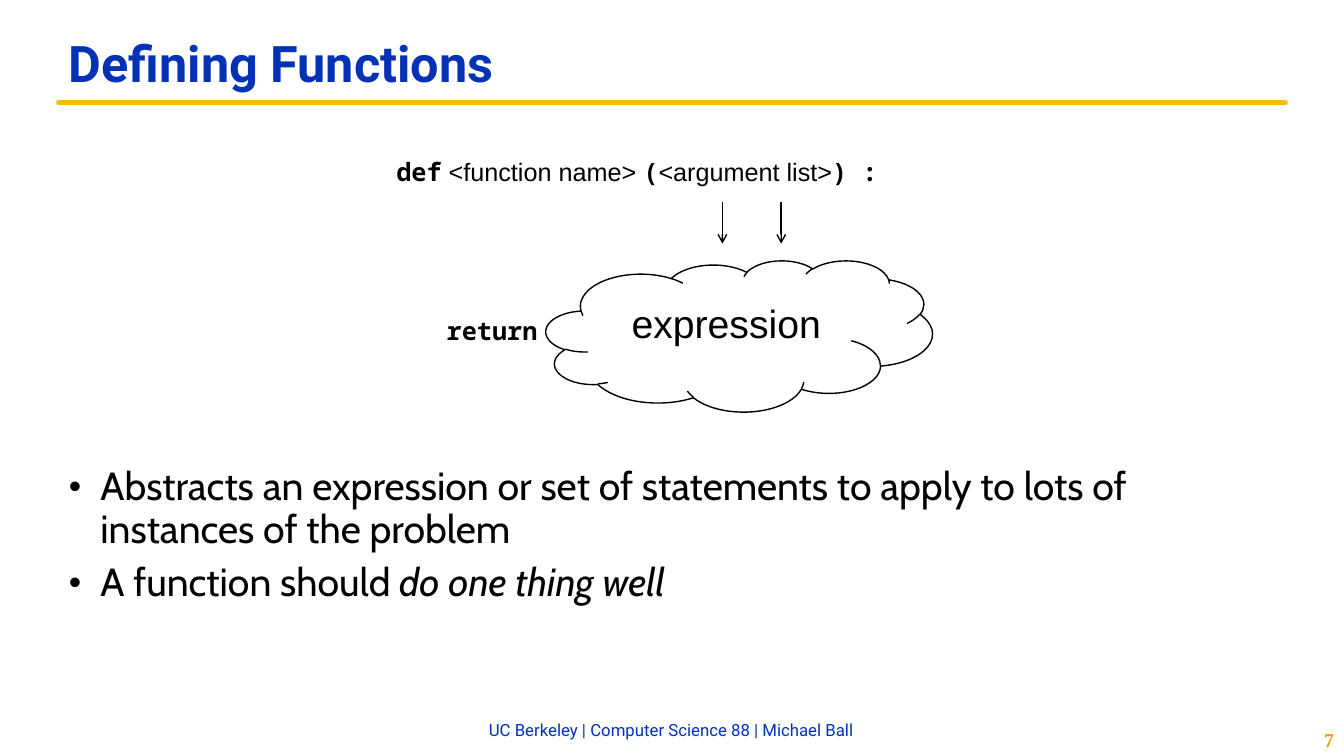
from dataclasses import dataclass

from lxml.etree import SubElement
from pptx import Presentation
from pptx.dml.color import RGBColor
from pptx.enum.shapes import MSO_CONNECTOR, MSO_SHAPE
from pptx.enum.text import MSO_ANCHOR, MSO_AUTO_SIZE, PP_ALIGN
from pptx.oxml.ns import qn
from pptx.util import Pt


@dataclass(frozen=True)
class Theme:
    blue: RGBColor = RGBColor(0x03, 0x32, 0xB7)
    gold: RGBColor = RGBColor(0xFB, 0xBA, 0x03)
    orange: RGBColor = RGBColor(0xFF, 0x99, 0x00)
    black: RGBColor = RGBColor(0, 0, 0)
    heading_font: str = "Roboto"
    body_font: str = "Cabin"
    code_font: str = "Noto Sans Mono"
    plain_font: str = "Arial"
    number_font: str = "Times New Roman"
    title_size: int = 36
    body_size: int = 28
    code_size: int = 18
    number_size: int = 14
    footer_size: int = 12
    line_spacing: float = 0.9


@dataclass(frozen=True)
class Box:
    left: float
    top: float
    width: float
    height: float

    def inner(self, left, top, width, height):
        return Box(self.left + left, self.top + top, width, height)

    def lengths(self):
        return [Pt(value) for value in (self.left, self.top, self.width, self.height)]


THEME = Theme()


def format_run(run, font_name, size, color, bold=False, italic=False):
    font = run.font
    font.name, font.size, font.bold, font.italic = font_name, Pt(size), bold, italic
    font.color.rgb = color


def place(shape, box):
    shape.left, shape.top, shape.width, shape.height = box.lengths()


def add_label(slide, box, pieces, size, color, wrap=False,
              alignment=PP_ALIGN.LEFT, anchor=MSO_ANCHOR.TOP):
    label = slide.shapes.add_textbox(*box.lengths())
    frame = label.text_frame
    frame.word_wrap = wrap
    frame.vertical_anchor = anchor
    paragraph = frame.paragraphs[0]
    paragraph.alignment = alignment
    for text, font_name, bold in pieces:
        run = paragraph.add_run()
        run.text = text
        format_run(run, font_name, size, color, bold)
    return label


def add_line(slide, start, end, color, width):
    line = slide.shapes.add_connector(
        MSO_CONNECTOR.STRAIGHT, *[Pt(value) for value in (*start, *end)])
    line.line.color.rgb = color
    line.line.width = Pt(width)
    SubElement(line._element.spPr, qn("a:effectLst"))
    return line


def add_header(slide, box):
    title = slide.shapes.title
    place(title, box.inner(0, 0, 804, 58))
    frame = title.text_frame
    frame.text = "Defining Functions"
    frame.auto_size = MSO_AUTO_SIZE.NONE
    frame.vertical_anchor = MSO_ANCHOR.MIDDLE
    paragraph = frame.paragraphs[0]
    paragraph.alignment = PP_ALIGN.LEFT
    paragraph.line_spacing = THEME.line_spacing
    format_run(paragraph.runs[0], THEME.heading_font, THEME.title_size, THEME.blue, True)
    bottom = box.top + box.height
    rule = add_line(slide, (box.left, bottom), (box.left + box.width, bottom),
                    THEME.gold, 3.75)
    rule.line._ln.set("cap", "rnd")


def add_function_diagram(slide, box):
    code, plain = THEME.code_font, THEME.plain_font
    signature = [
        ("def", code, True),
        (" <function name> ", plain, False),
        ("(", code, True),
        ("<argument list>", plain, False),
        (") :", code, True),
    ]
    cloud = slide.shapes.add_shape(MSO_SHAPE.CLOUD, *box.inner(114, 78, 276, 108).lengths())
    cloud.shadow.inherit = False
    cloud.fill.background()
    cloud.line.color.rgb = THEME.black
    cloud.line.width = Pt(1)
    labels = [
        (box.inner(168, 102, 151, 41), [("expression", plain, False)], THEME.body_size),
        (box.inner(0, 0, 372, 29), signature, THEME.code_size),
        (box.inner(36, 114, 80, 29), [("return", code, True)], THEME.code_size),
    ]
    for label_box, pieces, size in labels:
        label = add_label(slide, label_box, pieces, size, THEME.black)
        label.text_frame.auto_size = MSO_AUTO_SIZE.SHAPE_TO_FIT_TEXT
    for offset in (240, 282):
        x = box.left + offset
        arrow = add_line(slide, (x, box.top + 36), (x, box.top + 66), THEME.black, 1)
        SubElement(arrow.line._ln, qn("a:tailEnd"), type="arrow")


def add_bullets(slide, box):
    body = slide.placeholders[1]
    place(body, box)
    frame = body.text_frame
    frame.auto_size = MSO_AUTO_SIZE.NONE
    frame.text = ("Abstracts an expression or set of statements to apply to lots of "
                  "instances of the problem\nA function should ")
    frame.paragraphs[1].add_run().text = "do one thing well"
    for paragraph in frame.paragraphs:
        paragraph.line_spacing = THEME.line_spacing
        paragraph.space_before = Pt(8)
        properties = paragraph._p.get_or_add_pPr()
        properties.set("marL", str(Pt(22.5)))
        properties.set("indent", str(-Pt(22.5)))
        SubElement(properties, qn("a:buSzPct"), val="90000")
        SubElement(properties, qn("a:buChar"), char="•")
        for position, run in enumerate(paragraph.runs):
            format_run(run, THEME.body_font, THEME.body_size, THEME.black,
                       italic=position == 1)


def add_footer(slide, box):
    credit = add_label(
        slide, box.inner(332.5, 0, 294, 16),
        [("UC Berkeley | Computer Science 88 | Michael Ball", THEME.heading_font, False)],
        THEME.footer_size, THEME.blue, True, PP_ALIGN.CENTER, MSO_ANCHOR.MIDDLE)
    credit.text_frame.paragraphs[0].line_spacing = THEME.line_spacing
    add_label(slide, box.inner(904, 2, 56, 24), [("7", THEME.number_font, True)],
              THEME.number_size, THEME.orange, False, PP_ALIGN.RIGHT, MSO_ANCHOR.MIDDLE)


def main():
    presentation = Presentation()
    presentation.slide_width, presentation.slide_height = Pt(960), Pt(540)
    slide = presentation.slides.add_slide(presentation.slide_layouts[1])
    add_header(slide, Box(42, 18, 876, 55.5))
    add_function_diagram(slide, Box(276, 108, 390, 186))
    add_bullets(slide, Box(42, 330, 876, 126))
    add_footer(slide, Box(0, 514, 960, 26))
    presentation.save("out.pptx")


if __name__ == "__main__":
    main()
